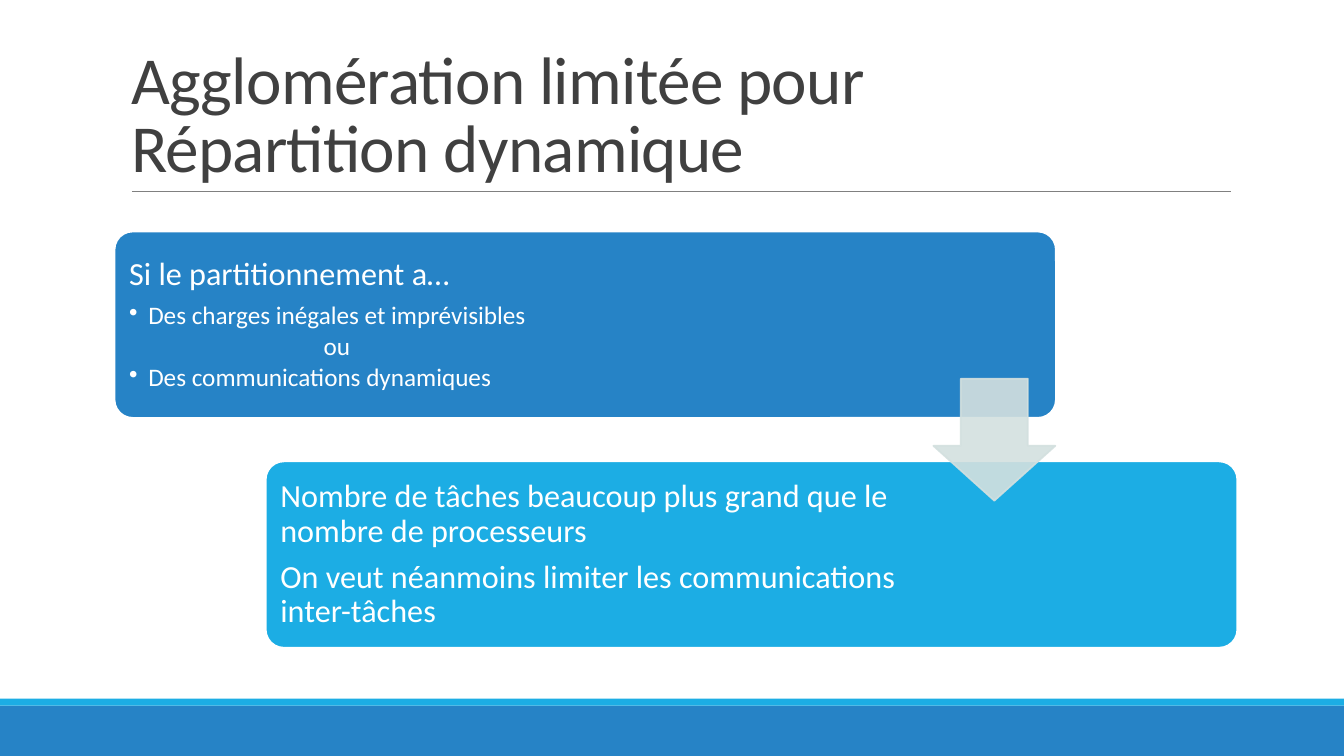
from lxml.etree import SubElement
from pptx import Presentation
from pptx.dml.color import RGBColor
from pptx.enum.shapes import MSO_CONNECTOR, MSO_SHAPE
from pptx.enum.text import MSO_ANCHOR, MSO_AUTO_SIZE, PP_ALIGN
from pptx.oxml.ns import qn
from pptx.util import Pt

BLUE, CYAN, WHITE, PALE = "2683C6", "1CADE4", "FFFFFF", "D3E0DF"


def add_filled(kind, left, top, width, height, fill, line=None, line_width=0):
    shape = page.shapes.add_shape(kind, Pt(left), Pt(top), Pt(width), Pt(height))
    shape.shadow.inherit = False
    shape.fill.solid()
    shape.fill.fore_color.rgb = RGBColor.from_string(fill)
    if line:
        shape.line.color.rgb = RGBColor.from_string(line)
        shape.line.width = Pt(line_width)
    else:
        shape.line.fill.background()
    return shape


def format_paragraph(para, size, color, line_spacing, space_after=0):
    para.alignment = PP_ALIGN.LEFT
    para.line_spacing = line_spacing
    para.space_before = Pt(0)
    para.space_after = Pt(space_after)
    for span in para.runs:
        span.font.name = "Calibri"
        span.font.size = Pt(size)
        span.font.color.rgb = RGBColor.from_string(color)


deck = Presentation()
deck.slide_width, deck.slide_height = Pt(960), Pt(540)
page = deck.slides.add_slide(deck.slide_layouts[5])

# Footer bands and title rule
add_filled(MSO_SHAPE.RECTANGLE, 0, 504, 960, 36, BLUE)
add_filled(MSO_SHAPE.RECTANGLE, 0, 499, 960, 5, CYAN)
rule = page.shapes.add_connector(MSO_CONNECTOR.STRAIGHT, Pt(94.3), Pt(136.8), Pt(879), Pt(136.8))
rule.line.color.rgb = RGBColor.from_string("808080")
rule.line.width = Pt(0.5)
SubElement(rule.line._get_or_add_ln().getparent(), qn("a:effectLst"))

# Title
title = page.shapes.title
title.left, title.top, title.width, title.height = Pt(86.4), Pt(22.3), Pt(792), Pt(114.5)
title.text_frame.text = "Agglomération limitée pour\vRépartition dynamique"
title.text_frame.auto_size = MSO_AUTO_SIZE.NONE
title.text_frame.vertical_anchor = MSO_ANCHOR.BOTTOM
format_paragraph(title.text_frame.paragraphs[0], 48, "404040", 0.85)
for span in title.text_frame.paragraphs[0].runs:
    span.font._element.set("spc", "-50")

# Step cards: left, top, width, fill, text width, right inset,
# paragraphs as (text, size, space after, left indent, bulleted)
steps = [
    (81.4, 165, 673.2, BLUE, 534.2, 7.2, [
        ("Si le partitionnement a…", 23, 8, 0, False),
        ("Des charges inégales et imprévisibles", 18, 2.7, 13.7, True),
        ("ou", 18, 2.7, 139, False),
        ("Des communications dynamiques", 18, 2.7, 13.7, True),
    ]),
    (189.4, 329.2, 694.8, CYAN, 473.8, 0, [
        ("Nombre de tâches beaucoup plus grand que le nombre de processeurs", 23, 8, 0, False),
        ("On veut néanmoins limiter les communications inter-tâches", 23, 8, 0, False),
    ]),
]
for left, top, width, fill, text_width, right_inset, paragraphs in steps:
    card = add_filled(MSO_SHAPE.ROUNDED_RECTANGLE, left, top, width, 133.9, fill, WHITE, 2)
    card.adjustments[0] = 0.1
    box = page.shapes.add_textbox(Pt(left + 3.8), Pt(top + 4), Pt(text_width), Pt(126))
    frame = box.text_frame
    frame.word_wrap = True
    frame.vertical_anchor = MSO_ANCHOR.MIDDLE
    frame.margin_left = frame.margin_top = frame.margin_bottom = Pt(7)
    frame.margin_right = Pt(right_inset)
    frame.text = "\n".join(entry[0] for entry in paragraphs)
    for para, (_, size, space_after, indent, bulleted) in zip(frame.paragraphs, paragraphs):
        format_paragraph(para, size, WHITE, 0.9, space_after)
        properties = para._p.get_or_add_pPr()
        properties.set("marL", str(Pt(indent)))
        if bulleted:
            para.level = 1
            properties.set("indent", str(-Pt(indent)))
            SubElement(properties, qn("a:buChar"), char="•")

# Translucent arrow between the cards
arrow = add_filled(MSO_SHAPE.DOWN_ARROW, 666.7, 270.5, 87.1, 87.1, PALE, PALE, 1.25)
arrow.adjustments[0], arrow.adjustments[1] = 0.55, 0.45
for color in arrow._element.spPr.iter(qn("a:srgbClr")):
    SubElement(color, qn("a:alpha"), val="90000")

deck.save("out.pptx")
